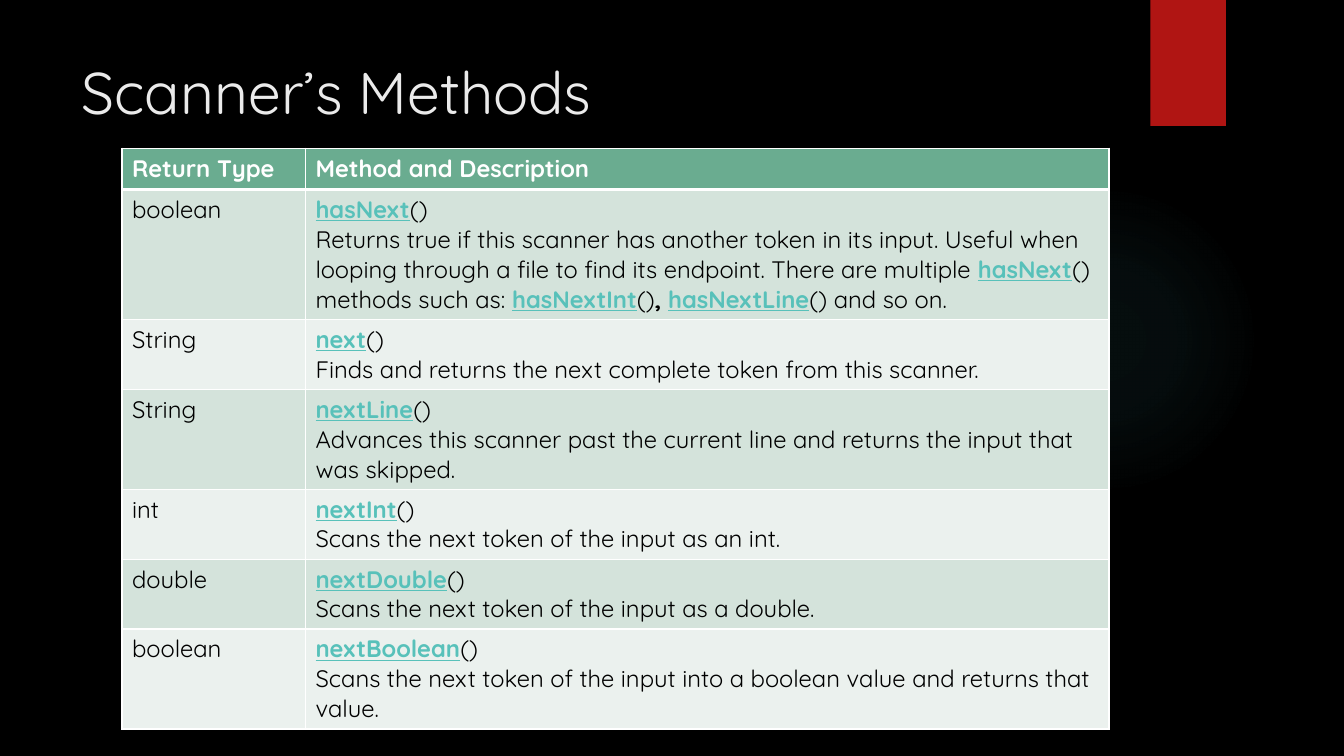
from lxml import etree
from pptx import Presentation
from pptx.dml.color import RGBColor
from pptx.enum.shapes import MSO_SHAPE
from pptx.enum.text import MSO_ANCHOR, PP_ALIGN
from pptx.oxml import parse_xml
from pptx.oxml.ns import nsdecls, qn
from pptx.util import Inches, Pt

OVAL, RECTANGLE = MSO_SHAPE.OVAL, MSO_SHAPE.RECTANGLE
TOP, LEFT = MSO_ANCHOR.TOP, PP_ALIGN.LEFT
TITLE_ONLY = 5

# Asterisks enclose method names, which are set as underlined links
METHODS = [
    ("boolean", ["*hasNext*()",
                 "Returns true if this scanner has another token in its input. "
                 "Useful when looping through a file to find its endpoint. "
                 "There are multiple *hasNext*() methods such as: "
                 "*hasNextInt*()|, |*hasNextLine*() and so on."], 1.28),
    ("String", ["*next*()",
                "Finds and returns the next complete token from this scanner."], 0.69),
    ("String", ["*nextLine*()",
                "Advances this scanner past the current line and returns "
                "the input that was skipped."], 0.99),
    ("int", ["*nextInt*()", "Scans the next token of the input as an int."], 0.69),
    ("double", ["*nextDouble*()",
                "Scans the next token of the input as a double."], 0.69),
    ("boolean", ["*nextBoolean*()",
                 "Scans the next token of the input into a boolean value "
                 "and returns that value."], 0.99),
]


def color(hex_code):
    return RGBColor.from_string(hex_code)


class MethodSlide:
    FONT = "Quicksand"
    BACKGROUND, TITLE, RED = "000000", "EBEBEB", "B01513"
    TEXT, LINK, WHITE = "000000", "58C1BA", "FFFFFF"
    HEADER, BANDS = "6AAC90", ("D4E3DB", "EBF1EE")
    GLOW = "50B9C1"

    def __init__(self, deck):
        self.slide = deck.slides.add_slide(deck.slide_layouts[TITLE_ONLY])
        fill = self.slide.background.fill
        fill.solid()
        fill.fore_color.rgb = color(self.BACKGROUND)

    def shape(self, kind, box, fill):
        shape = self.slide.shapes.add_shape(kind, *map(Inches, box))
        shape.shadow.inherit = False
        shape.fill.solid()
        shape.fill.fore_color.rgb = color(fill)
        shape.line.fill.background()
        return shape

    def glow(self, box, stops):
        properties = self.shape(OVAL, box, self.GLOW).element.spPr
        stop_xml = "".join(
            f'<a:gs pos="{position * 1000}"><a:srgbClr val="{self.GLOW}">'
            f'<a:alpha val="{alpha * 1000}"/></a:srgbClr></a:gs>'
            for position, alpha in stops)
        gradient = parse_xml(
            f'<a:gradFill {nsdecls("a")}><a:gsLst>{stop_xml}</a:gsLst>'
            '<a:path path="circle"><a:fillToRect l="50000" t="50000" '
            'r="50000" b="50000"/></a:path></a:gradFill>')
        properties.replace(properties.find(qn("a:solidFill")), gradient)

    def title(self, text, box):
        title = self.slide.shapes.title
        title.left, title.top, title.width, title.height = map(Inches, box)
        frame = title.text_frame
        frame.text = text
        frame.word_wrap = True
        frame.vertical_anchor = TOP
        heading = frame.paragraphs[0]
        heading.alignment = LEFT
        heading.font.name, heading.font.size = self.FONT, Pt(42)
        heading.font.color.rgb = color(self.TITLE)

    def table(self, box, widths, heights):
        table = self.slide.shapes.add_table(
            len(heights), len(widths), *map(Inches, box)).table
        table.horz_banding = False
        for column, width in zip(table.columns, widths):
            column.width = Inches(width)
        for row, height in zip(table.rows, heights):
            row.height = Inches(height)
        return table

    def cell(self, cell, lines, fill, text_color, bold=False, top=1, bottom=1):
        cell.fill.solid()
        cell.fill.fore_color.rgb = color(fill)
        self.borders(cell, {"lnL": 1, "lnR": 1, "lnT": top, "lnB": bottom})
        frame = cell.text_frame
        for index, line in enumerate(lines):
            paragraph = frame.paragraphs[0] if index == 0 else frame.add_paragraph()
            paragraph.font.name, paragraph.font.size = self.FONT, Pt(17)
            for number, piece in enumerate(line.split("*")):
                is_link = number % 2 == 1
                # Bars enclose plain bold text
                for part, words in enumerate(piece.split("|")):
                    if words:
                        run = paragraph.add_run()
                        run.text = words
                        run.font.bold = bold or is_link or part == 1
                        run.font.underline = is_link
                        run.font.color.rgb = color(self.LINK if is_link else text_color)

    def borders(self, cell, widths):
        properties = cell._tc.get_or_add_tcPr()
        for index, (side, width) in enumerate(widths.items()):
            line = etree.Element(qn(f"a:{side}"), w=str(Pt(width)))
            solid = etree.SubElement(line, qn("a:solidFill"))
            etree.SubElement(solid, qn("a:srgbClr"), val=self.WHITE)
            properties.insert(index, line)


def main():
    deck = Presentation()
    deck.slide_width, deck.slide_height = Inches(13.33), Inches(7.5)
    page = MethodSlide(deck)

    # Background decoration
    page.glow((9.41, 1.83, 3.08, 3.08), [(0, 7), (36, 6), (69, 0)])
    page.shape(RECTANGLE, (11.41, 0, 0.75, 1.25), page.RED)

    # Title
    page.title("Scanner’s Methods", (0.71, 0.5, 10.29, 1.53))

    # Method table
    heights = [0.41] + [height for _, _, height in METHODS]
    table = page.table((1.21, 1.47, 9.79, sum(heights)), (1.82, 7.97), heights)
    for column, heading in enumerate(("Return Type", "Method and Description")):
        page.cell(table.cell(0, column), [heading], page.HEADER, page.WHITE,
                  bold=True, bottom=3)
    for row, (return_type, description, _) in enumerate(METHODS, start=1):
        band = page.BANDS[(row - 1) % 2]
        for column, lines in enumerate(([return_type], description)):
            page.cell(table.cell(row, column), lines, band, page.TEXT,
                      top=3 if row == 1 else 1)

    deck.save("out.pptx")


if __name__ == "__main__":
    main()
